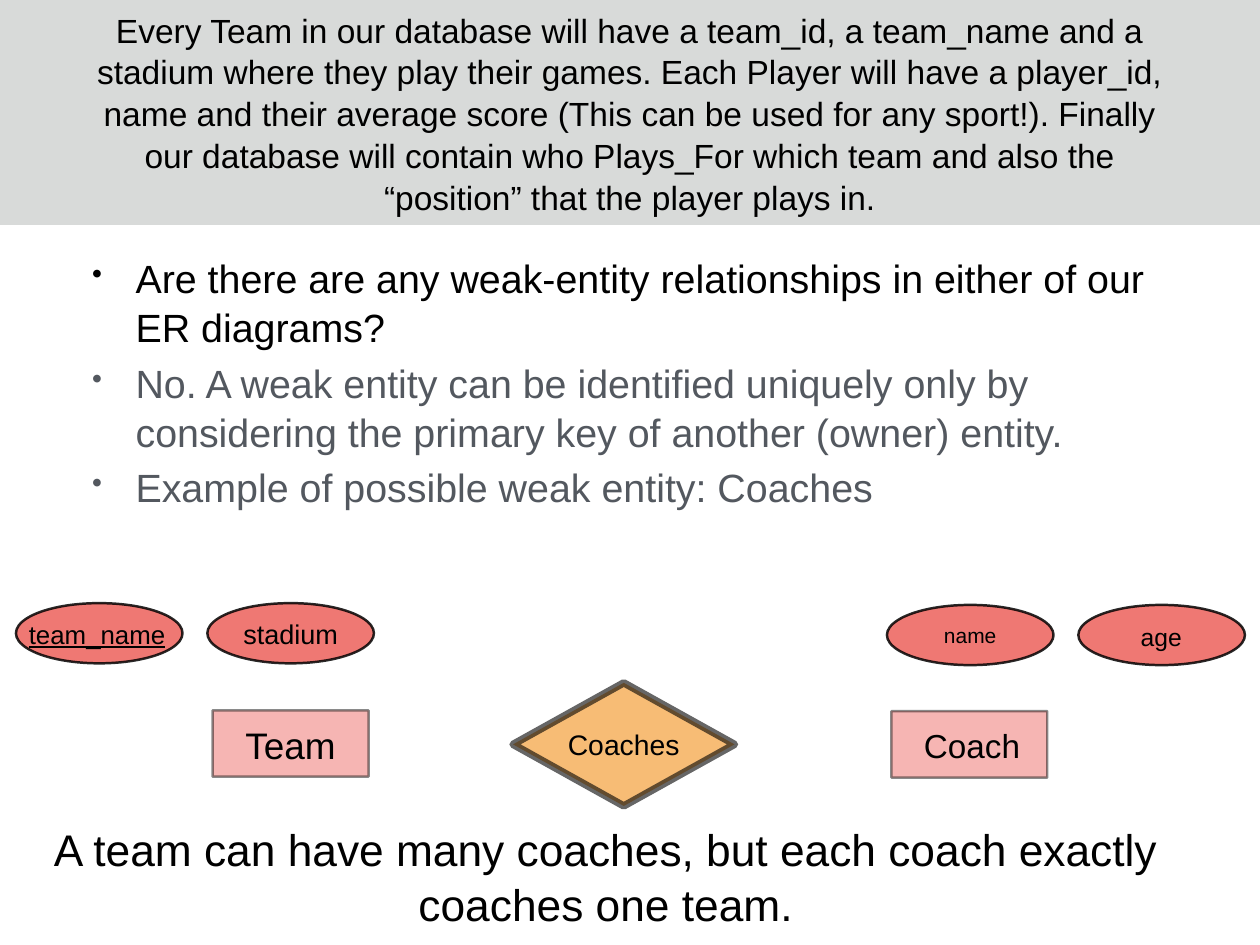
from dataclasses import dataclass

from lxml.etree import SubElement
from pptx import Presentation
from pptx.dml.color import RGBColor
from pptx.enum.shapes import MSO_SHAPE as Preset
from pptx.enum.text import MSO_ANCHOR as Anchor, PP_ALIGN as Align
from pptx.oxml.ns import qn
from pptx.util import Inches, Pt


@dataclass(frozen=True)
class Theme:
    font: str = "Arial"
    black: str = "000000"
    answer: str = "53585F"
    band: str = "A6AAA9"
    red: str = "EC5D57"
    orange: str = "F39019"
    title_size: float = 27.2
    body_size: float = 32
    footer_size: float = 36
    line_spacing: float = 1.04


@dataclass(frozen=True)
class Box:
    left: float
    top: float
    width: float
    height: float

    def lengths(self) -> tuple:
        return tuple(Inches(v) for v in (self.left, self.top, self.width, self.height))


@dataclass(frozen=True)
class Node:
    """A diagram symbol with its label in a box of its own."""
    preset: Preset
    box: Box
    color: str
    opacity: int
    line_width: float
    label: str
    label_box: Box
    size: float
    underline: bool = False


THEME = Theme()


def attribute(left: float, top: float, label: str, label_box: Box,
              size: float, underline: bool = False) -> Node:
    return Node(Preset.OVAL, Box(left, top, 1.88, 0.68), THEME.red, 83, 2,
                label, label_box, size, underline)


def entity(left: float, top: float, label: str, label_box: Box, size: float) -> Node:
    return Node(Preset.RECTANGLE, Box(left, top, 1.76, 0.75), THEME.red, 45, 2,
                label, label_box, size)


NODES = [
    entity(2.4, 8.02, "Team", Box(2.66, 8.14, 1.24, 0.51), 30),
    attribute(0.18, 6.81, "team_name", Box(0.22, 6.92, 1.75, 0.46), 21, True),
    attribute(2.34, 6.81, "stadium", Box(2.53, 6.95, 1.5, 0.4), 22),
    entity(10.06, 8.03, "Coach", Box(10.34, 8.15, 1.26, 0.51), 27),
    attribute(10.01, 6.83, "name", Box(10.2, 6.97, 1.5, 0.4), 17),
    attribute(12.17, 6.83, "age", Box(12.3, 6.79, 1.61, 0.78), 20),
    Node(Preset.DIAMOND, Box(5.79, 7.71, 2.5, 1.39), THEME.orange, 60, 6,
         "Coaches", Box(6.34, 8.14, 1.4, 0.5), 23),
]

TITLE = (
    "Every Team in our database will have a team_id, a team_name and a stadium "
    "where they play their games. Each Player will have a player_id, name and their "
    "average score (This can be used for any sport!). Finally our database will "
    "contain who Plays_For which team and also the “position” that the player plays in."
)
BODY = [
    ("Are there are any weak-entity relationships in either of our ER diagrams?",
     THEME.black),
    ("No. A weak entity can be identified uniquely only by considering the primary "
     "key of another (owner) entity.", THEME.answer),
    ("Example of possible weak entity: Coaches", THEME.answer),
]
FOOTER = "A team can have many coaches, but each coach exactly coaches one team."


def set_opacity(fill, percent: int) -> None:
    color = fill._xPr.find(qn("a:solidFill"))[0]
    SubElement(color, qn("a:alpha"), val=str(percent * 1000))


def add_symbol(slide, preset: Preset, box: Box, color: str, opacity: int,
               line_width: float = 0) -> None:
    shape = slide.shapes.add_shape(preset, *box.lengths())
    shape.shadow.inherit = False
    fills = [(shape.fill, color)]
    if line_width:
        shape.line.width = Pt(line_width)
        fills.append((shape.line.fill, THEME.black))
    else:
        shape.line.fill.background()
    for fill, shade in fills:
        fill.solid()
        fill.fore_color.rgb = RGBColor.from_string(shade)
        set_opacity(fill, opacity)


def add_frame(slide, box: Box, *, anchor: Anchor = Anchor.MIDDLE, inset: float = 0):
    frame = slide.shapes.add_textbox(*box.lengths()).text_frame
    frame.word_wrap = True
    frame.vertical_anchor = anchor
    frame.margin_left = frame.margin_right = Inches(inset)
    frame.margin_top = frame.margin_bottom = Inches(inset)
    return frame


def add_bullet(para) -> None:
    props = para._p.get_or_add_pPr()
    props.set("marL", str(Inches(0.49)))
    props.set("indent", str(-Inches(0.49)))
    SubElement(props, qn("a:buSzPct"), val="75000")
    SubElement(props, qn("a:buChar"), char="•")


def write(para, text: str, *, size: float, color: str = THEME.black,
          align: Align = Align.CENTER, underline: bool = False) -> None:
    para.alignment = align
    para.line_spacing = THEME.line_spacing
    span = para.add_run()
    span.text = text
    span.font.name = THEME.font
    span.font.size = Pt(size)
    span.font.color.rgb = RGBColor.from_string(color)
    if underline:
        span.font.underline = True


def add_body(slide) -> None:
    frame = add_frame(slide, Box(1.04, 2.85, 12.14, 3.36), anchor=Anchor.TOP)
    for index, (text, color) in enumerate(BODY):
        para = frame.add_paragraph() if index else frame.paragraphs[0]
        add_bullet(para)
        if index:
            para.space_before = Pt(5)
        write(para, text, size=THEME.body_size, color=color, align=Align.LEFT)


def add_node(slide, node: Node) -> None:
    add_symbol(slide, node.preset, node.box, node.color, node.opacity, node.line_width)
    frame = add_frame(slide, node.label_box, inset=0.06)
    write(frame.paragraphs[0], node.label, size=node.size, underline=node.underline)


def main() -> None:
    deck = Presentation()
    deck.slide_width, deck.slide_height = Inches(14.22), Inches(10.67)
    page = deck.slides.add_slide(deck.slide_layouts[6])

    # Title on its grey band
    add_symbol(page, Preset.RECTANGLE, Box(-0.41, -0.44, 15.19, 2.98), THEME.band, 43)
    title = add_frame(page, Box(1.04, 0.01, 12.14, 2.52))
    write(title.paragraphs[0], TITLE, size=THEME.title_size)

    # Question and answers
    add_body(page)

    # Entity-relationship diagram
    for node in NODES:
        add_node(page, node)

    # Closing statement
    footer = add_frame(page, Box(0.35, 9.23, 12.97, 1.31), inset=0.06)
    write(footer.paragraphs[0], FOOTER, size=THEME.footer_size)

    deck.save("out.pptx")


if __name__ == "__main__":
    main()
